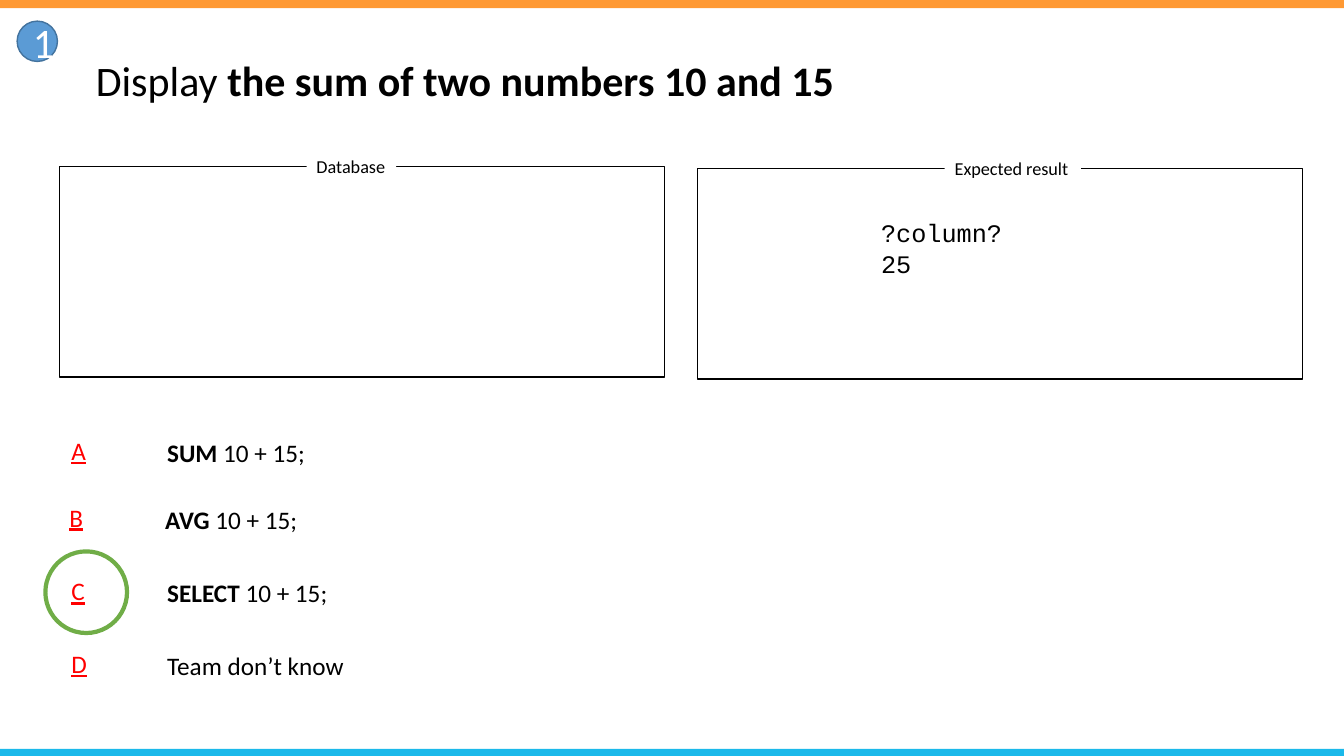
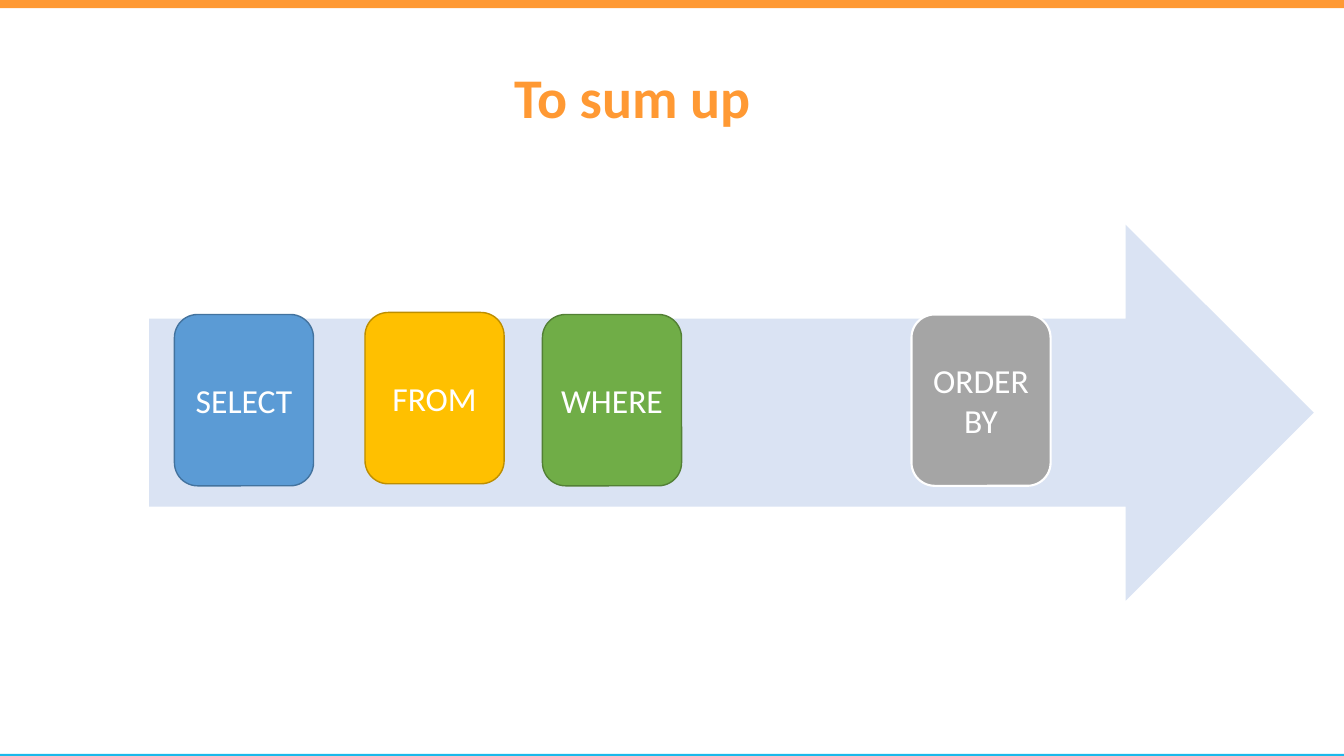
from pptx import Presentation
from pptx.dml.color import RGBColor
from pptx.enum.shapes import MSO_SHAPE
from pptx.enum.text import MSO_ANCHOR, MSO_AUTO_SIZE, PP_ALIGN
from pptx.util import Pt

RECT = MSO_SHAPE.RECTANGLE
OVAL = MSO_SHAPE.OVAL
ROUND = MSO_SHAPE.ROUNDED_RECTANGLE
ARROW = MSO_SHAPE.RIGHT_ARROW
TOP, MIDDLE = MSO_ANCHOR.TOP, MSO_ANCHOR.MIDDLE
LEFT, CENTER = PP_ALIGN.LEFT, PP_ALIGN.CENTER
GROW = MSO_AUTO_SIZE.SHAPE_TO_FIT_TEXT
PX = 9144
WIDE, HIGH = 1333, 750


class Theme:
    font, mono = "Calibri", "Courier New"
    black, white, red = "000000", "FFFFFF", "FF0000"
    orange, cyan, pale = "FF9933", "1BB9EA", "DAE3F3"
    blue, navy = "5B9BD5", "43739E"
    gold, brown = "FFC000", "BD8E00"
    green, moss = "70AD47", "538035"
    gray = "A5A5A5"
    title, head, step, body, label = 40, 30, 24, 18, 13


def draw(slide, kind, box, fill=None, line=None, width=1):
    shape = slide.shapes.add_shape(kind, *[n * PX for n in box])
    shape.shadow.inherit = False
    if fill:
        shape.fill.solid()
        shape.fill.fore_color.rgb = RGBColor.from_string(fill)
    else:
        shape.fill.background()
    if line:
        shape.line.color.rgb = RGBColor.from_string(line)
        shape.line.width = Pt(width)
    else:
        shape.line.fill.background()
    return shape


def write(shape, text, size, ink, tail="", box=None, font=Theme.font):
    frame = shape.text_frame
    frame.text = text
    if tail:
        frame.paragraphs[0].add_run().text = tail
    if box:
        shape.left, shape.top, shape.width, shape.height = [n * PX for n in box]
        frame.auto_size = GROW
    frame.word_wrap = not box
    frame.vertical_anchor = TOP if box else MIDDLE
    for para in frame.paragraphs:
        para.alignment = LEFT if box else CENTER
        for run in para.runs:
            run.font.name = font
            run.font.size = Pt(size)
            run.font.color.rgb = RGBColor.from_string(ink)
    return frame.paragraphs[0].runs


deck = Presentation()
deck.slide_width, deck.slide_height = WIDE * PX, HIGH * PX
quiz, recap = [deck.slides.add_slide(deck.slide_layouts[5]) for _ in range(2)]

for slide, foot in ((quiz, 743), (recap, 748)):
    draw(slide, RECT, (0, 0, WIDE, 8), Theme.orange)
    draw(slide, RECT, (0, foot, WIDE, HIGH - foot), Theme.cyan)

runs = write(quiz.shapes.title, "Display ", Theme.head, Theme.black,
             "the sum of two numbers 10 and 15", (85, 49, 779, 61))
runs[0].font.bold = False
runs[1].font.bold = True

options = (
    ("A", "SUM", " 10 + 15;", 61, 427, 157),
    ("B", "AVG", " 10 + 15;", 59, 493, 152),
    ("C", "SELECT", " 10 + 15;", 61, 566, 181),
    ("D", "Team don’t know", "", 61, 638, 197),
)
for mark, lead, tail, x, y, width in options:
    note = quiz.shapes.add_textbox(0, 0, PX, PX)
    runs = write(note, mark, Theme.body, Theme.red, box=(x, y, 35, 40))
    runs[0].font.underline = True
    note = quiz.shapes.add_textbox(0, 0, PX, PX)
    runs = write(note, lead, Theme.body, Theme.black, tail, (x + 95, y + 2, width, 40))
    runs[0].font.bold = bool(tail)

for name, x, y, width in (("Database", 59, 165, 89), ("Expected result", 692, 167, 135)):
    draw(quiz, RECT, (x, y, 600, 209), line=Theme.black)
    box = (x + 245, y - 16, width, 32)
    write(draw(quiz, RECT, box, Theme.white), name, Theme.label, Theme.black, box=box)

result = quiz.shapes.add_textbox(0, 0, PX, PX)
write(result, "?column?\n25", Theme.body, Theme.black, box=(864, 211, 141, 71), font=Theme.mono)

draw(quiz, OVAL, (45, 547, 81, 81), line=Theme.green, width=3)
badge = draw(quiz, OVAL, (17, 21, 40, 40), Theme.blue, Theme.navy)
write(badge, "1", Theme.head, Theme.white)

runs = write(recap.shapes.title, "To sum up", Theme.title, Theme.orange, box=(500, 57, 257, 77))
runs[0].font.bold = True

draw(recap, ARROW, (148, 223, 1155, 373), Theme.pale)
steps = (
    ("SELECT", 173, 312, Theme.blue, Theme.navy, 1),
    ("FROM", 362, 310, Theme.gold, Theme.brown, 1),
    ("WHERE", 538, 312, Theme.green, Theme.moss, 1),
    ("ORDER\vBY", 904, 312, Theme.gray, Theme.white, 1.5),
)
for name, x, y, fill, line, width in steps:
    card = draw(recap, ROUND, (x, y, 138, 170), fill, line, width)
    write(card, name, Theme.step, Theme.white)

deck.save("out.pptx")
